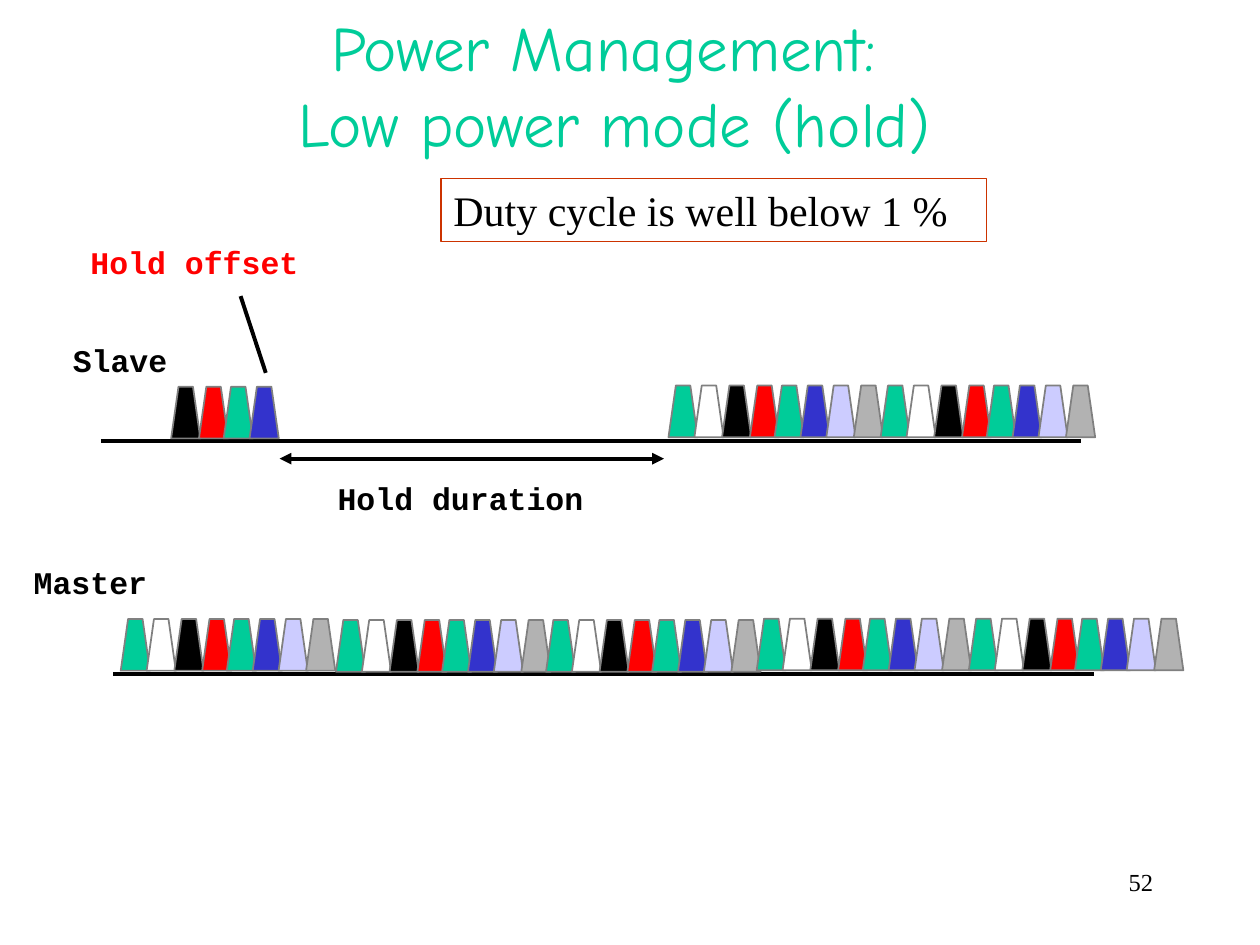
from lxml import etree
from pptx import Presentation
from pptx import util as u
from pptx.dml.color import RGBColor
from pptx.enum import shapes, text
from pptx.oxml.ns import qn

COLORS = {
    "title": "00CC99", "black": "000000", "red": "FF0000", "green": "00CC99",
    "white": "FFFFFF", "blue": "3333CC", "lilac": "CCCCFF", "gray": "B2B2B2",
    "outline": "808080", "frame": "CC3300",
}
TITLE_FONT, LABEL_FONT, BODY_FONT = "Comic Neue", "Courier New", "Times New Roman"

TITLE = ("Power Management: \vLow power mode (hold)", 36, 0, 630, 96)
LABELS = [
    ("Slave", "black", 34.5, 191.5, 68.4),
    ("Hold duration", "black", 185.8, 270, 154.8),
    ("Hold offset", "red", 44.6, 135.4, 133.2),
    ("Master", "black", 12.2, 318.2, 79.2),
]
DUTY_CYCLE = ("Duty cycle is well below 1 %", 252, 102.2, 311.8, 36)
PAGE_NUMBER = ("52", 516, 492, 150, 36)

SLOTS = [
    ("green", 0), ("white", 14.8), ("black", 30.6), ("red", 46.5),
    ("green", 60.6), ("blue", 75.4), ("lilac", 90.2), ("gray", 105.9),
]
HOLD_SLOTS = SLOTS[2:6]
SLOT_WIDTH, SLOT_HEIGHT, SLOT_INSET = 16.7, 29.5, 4.2

TIMELINES = [
    {"axis": (64.8, 385.2, 625),
     "bursts": [(69, 353.7, SLOTS), (192, 354.3, SLOTS), (312, 354.3, SLOTS),
                (432.4, 353.5, SLOTS), (553.6, 353.5, SLOTS)]},
    {"axis": (57.6, 252, 617.8),
     "bursts": [(67.2, 221, HOLD_SLOTS), (382, 220.3, SLOTS), (503.2, 220.3, SLOTS)]},
]
HOLD_DURATION = (159.8, 262.1, 379.4, 262.1)
OFFSET_POINTER = (137.5, 169.2, 151.9, 213.1)


def color(name):
    return RGBColor.from_string(COLORS[name])


def write(shape, words, font, size, ink="black", bold=False,
          align=text.PP_ALIGN.LEFT, wrap=True, anchor=text.MSO_ANCHOR.TOP, grow=False):
    frame = shape.text_frame
    frame.word_wrap = wrap
    frame.vertical_anchor = anchor
    if grow:
        frame.auto_size = text.MSO_AUTO_SIZE.SHAPE_TO_FIT_TEXT
    frame.text = words
    paragraph = frame.paragraphs[0]
    paragraph.alignment = align
    paragraph.font.name = font
    paragraph.font.size = u.Pt(size)
    paragraph.font.bold = bold
    paragraph.font.color.rgb = color(ink)


def draw_line(slide, ends, arrows=False):
    line = slide.shapes.add_connector(
        shapes.MSO_CONNECTOR.STRAIGHT, *(u.Pt(value) for value in ends))
    line.line.color.rgb = color("black")
    line.line.width = u.Pt(2.25)
    properties = line._element.spPr
    if arrows:
        for end in ("a:headEnd", "a:tailEnd"):
            etree.SubElement(properties.find(qn("a:ln")), qn(end), type="triangle")
    etree.SubElement(properties, qn("a:effectLst"))


def draw_slot(slide, left, top, fill):
    right, bottom = left + SLOT_WIDTH, top + SLOT_HEIGHT
    corners = [(right, bottom), (right - SLOT_INSET, top), (left + SLOT_INSET, top)]
    outline = slide.shapes.build_freeform(u.Pt(left), u.Pt(bottom))
    outline.add_line_segments([(u.Pt(x), u.Pt(y)) for x, y in corners], close=True)
    slot = outline.convert_to_shape()
    slot.shadow.inherit = False
    slot.fill.solid()
    slot.fill.fore_color.rgb = color(fill)
    slot.line.color.rgb = color("outline")
    slot.line.width = u.Pt(1)


def main():
    deck = Presentation()
    deck.slide_width, deck.slide_height = u.Pt(720), u.Pt(540)
    slide = deck.slides.add_slide(deck.slide_layouts[6])

    words, *box = TITLE
    title = slide.shapes.add_textbox(*(u.Pt(value) for value in box))
    write(title, words, TITLE_FONT, 36, "title",
          align=text.PP_ALIGN.CENTER, anchor=text.MSO_ANCHOR.MIDDLE)

    for words, ink, left, top, width in LABELS:
        label = slide.shapes.add_textbox(u.Pt(left), u.Pt(top), u.Pt(width), u.Pt(28.8))
        write(label, words, LABEL_FONT, 18, ink, bold=True, wrap=False, grow=True)

    draw_line(slide, HOLD_DURATION, arrows=True)
    draw_line(slide, OFFSET_POINTER)

    for timeline in TIMELINES:
        start, level, end = timeline["axis"]
        draw_line(slide, (start, level, end, level))
        for left, top, slots in timeline["bursts"]:
            for fill, offset in slots:
                draw_slot(slide, left + offset, top, fill)

    words, *box = DUTY_CYCLE
    duty_cycle = slide.shapes.add_shape(
        shapes.MSO_SHAPE.RECTANGLE, *(u.Pt(value) for value in box))
    duty_cycle.shadow.inherit = False
    duty_cycle.fill.background()
    duty_cycle.line.color.rgb = color("frame")
    duty_cycle.line.width = u.Pt(0.75)
    write(duty_cycle, words, BODY_FONT, 24, grow=True)

    words, *box = PAGE_NUMBER
    page_number = slide.shapes.add_textbox(*(u.Pt(value) for value in box))
    write(page_number, words, BODY_FONT, 14, align=text.PP_ALIGN.RIGHT)

    deck.save("out.pptx")


if __name__ == "__main__":
    main()
